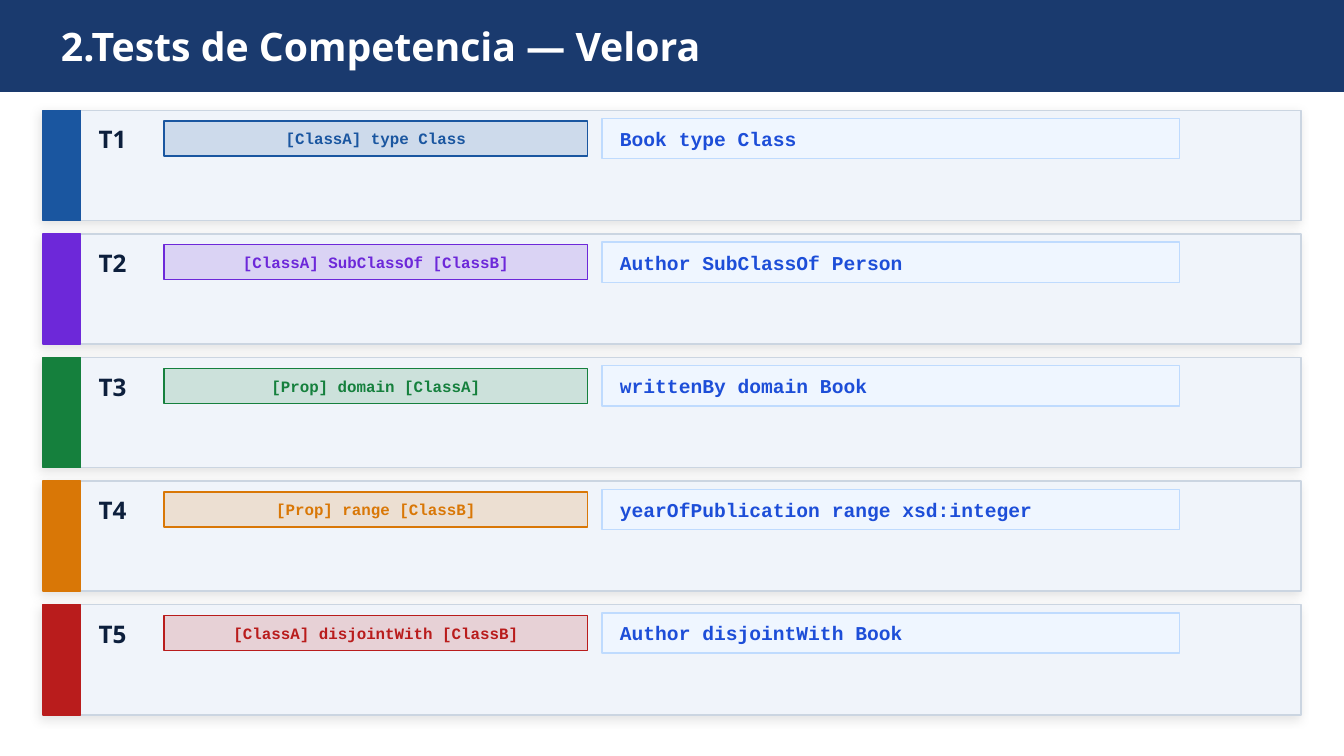
"""Builds the slide of competency tests, one card per test."""
from lxml import etree
from pptx import Presentation
from pptx.dml.color import RGBColor
from pptx.enum.shapes import MSO_SHAPE
from pptx.enum.text import MSO_ANCHOR, PP_ALIGN
from pptx.oxml.ns import qn
from pptx.util import Pt

RECTANGLE = MSO_SHAPE.RECTANGLE
MIDDLE = MSO_ANCHOR.MIDDLE
LEFT, CENTER = PP_ALIGN.LEFT, PP_ALIGN.CENTER

COLORS = {
    "header": "1A3A6E", "white": "FFFFFF", "label": "0D1F3C",
    "card": "F0F4FA", "card_line": "CBD5E1",
    "example": "EFF6FF", "example_line": "BFDBFE", "example_text": "1D4ED8",
    "blue": "1A56A0", "purple": "6D28D9", "green": "15803D",
    "orange": "D97706", "red": "B91C1C", "shadow": "000000",
}
TESTS = [
    ("blue", "[ClassA] type Class", "Book type Class"),
    ("purple", "[ClassA] SubClassOf [ClassB]", "Author SubClassOf Person"),
    ("green", "[Prop] domain [ClassA]", "writtenBy domain Book"),
    ("orange", "[Prop] range [ClassB]", "yearOfPublication range xsd:integer"),
    ("red", "[ClassA] disjointWith [ClassB]", "Author disjointWith Book"),
]
FIRST_TOP, ROW_STEP, CARD_HEIGHT = 78.8, 88.3, 78.6

presentation = Presentation()
presentation.slide_width, presentation.slide_height = Pt(960), Pt(540)
slide = presentation.slides.add_slide(presentation.slide_layouts[6])


def add_box(left, top, width, height, fill, line):
    shape = slide.shapes.add_shape(RECTANGLE, Pt(left), Pt(top), Pt(width), Pt(height))
    shape.shadow.inherit = False
    shape.fill.solid()
    shape.fill.fore_color.rgb = RGBColor.from_string(COLORS[fill])
    shape.line.color.rgb = RGBColor.from_string(COLORS[line])
    shape.line.width = Pt(1)
    return shape


def write(shape, text, font, size, color, alignment=LEFT, margin=7.2):
    frame = shape.text_frame
    frame.text = text
    frame.word_wrap = True
    frame.vertical_anchor = MIDDLE
    frame.margin_left = Pt(margin)
    paragraph = frame.paragraphs[0]
    paragraph.alignment = alignment
    run_font = paragraph.runs[0].font
    run_font.name, run_font.size, run_font.bold = font, Pt(size), True
    run_font.color.rgb = RGBColor.from_string(COLORS[color])


header = add_box(0, 0, 960, 65.5, "header", "header")
write(header, "2.Tests de Competencia — Velora", "Noto Sans", 28, "white", margin=43.5)

for index, (accent, pattern, example) in enumerate(TESTS):
    top = FIRST_TOP + index * ROW_STEP

    card = add_box(30.7, top, 898.6, CARD_HEIGHT, "card", "card_line")
    effects = card._element.spPr.find(qn("a:effectLst"))
    shadow = etree.SubElement(effects, qn("a:outerShdw"), blurRad=str(Pt(7)),
                              dist=str(Pt(3)), dir="8100000", algn="bl", rotWithShape="0")
    shadow_color = etree.SubElement(shadow, qn("a:srgbClr"), val=COLORS["shadow"])
    etree.SubElement(shadow_color, qn("a:alpha"), val="11000")

    add_box(30.7, top, 26.9, CARD_HEIGHT, accent, accent)

    label = slide.shapes.add_textbox(Pt(63.4), Pt(top + 3.8), Pt(48), Pt(33.6))
    write(label, f"T{index + 1}", "Noto Sans", 17.3, "label")

    pattern_box = add_box(117.1, top + 7.7, 302.4, 25, accent, accent)
    fill_color = pattern_box._element.spPr.find(qn("a:solidFill"))[0]
    etree.SubElement(fill_color, qn("a:alpha"), val="16000")
    write(pattern_box, pattern, "Courier New", 11.3, accent, CENTER)

    example_box = add_box(429.9, top + 5.8, 412.8, 28.8, "example", "example_line")
    write(example_box, example, "Courier New", 14, "example_text", margin=12.9)

presentation.save("out.pptx")
